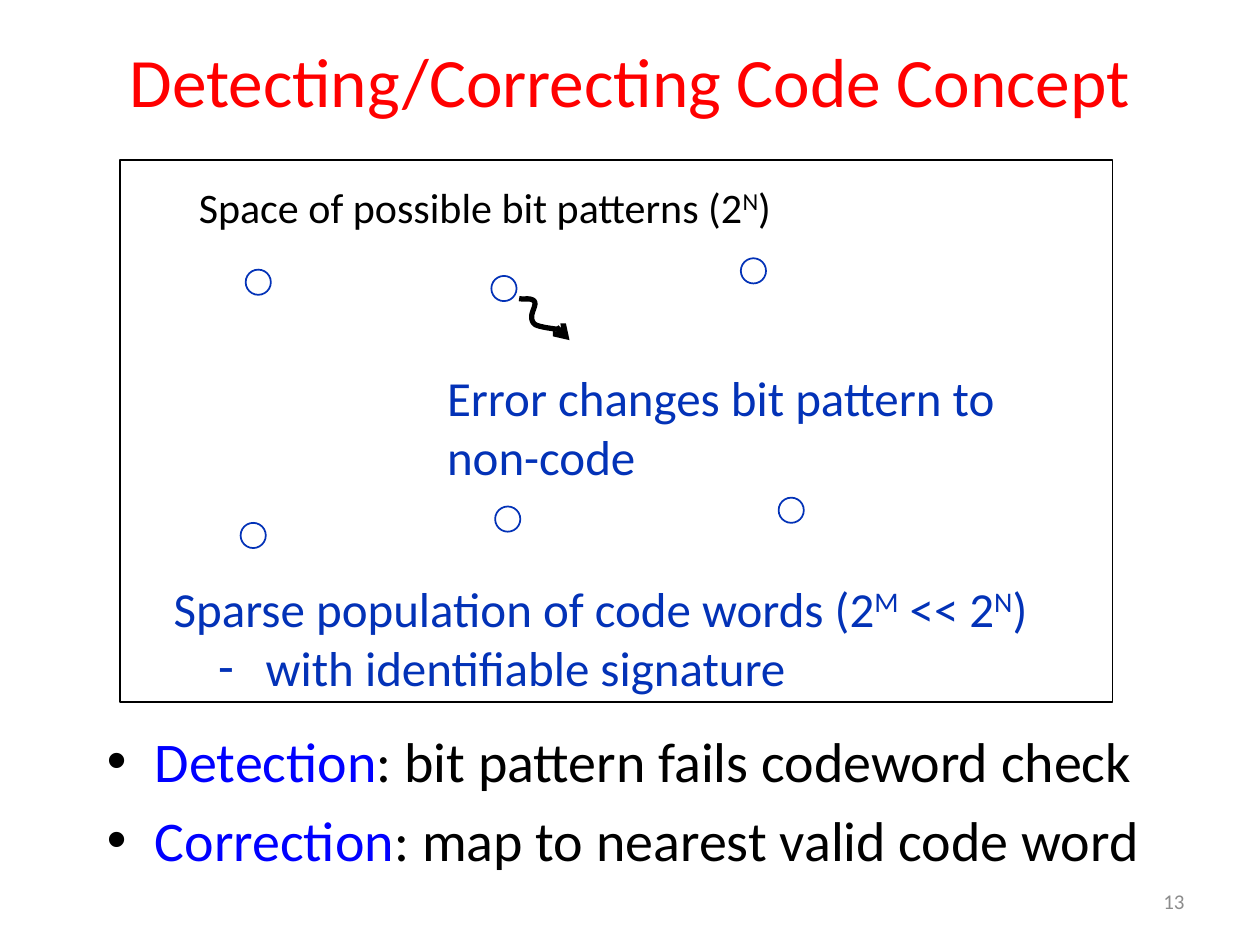
from dataclasses import dataclass

from lxml import etree
from pptx import Presentation
from pptx.dml.color import RGBColor
from pptx.enum.shapes import MSO_SHAPE
from pptx.enum.text import MSO_ANCHOR, PP_ALIGN
from pptx.oxml.ns import qn
from pptx.util import Inches, Pt

RECT, OVAL = MSO_SHAPE.RECTANGLE, MSO_SHAPE.OVAL
TOP, MIDDLE = MSO_ANCHOR.TOP, MSO_ANCHOR.MIDDLE
LEFT, CENTER, RIGHT = PP_ALIGN.LEFT, PP_ALIGN.CENTER, PP_ALIGN.RIGHT
COLS, ROWS = 100, 75
UNIT = Inches(0.1)


@dataclass(frozen=True)
class Theme:
    font: str = "Calibri"
    white: str = "FFFFFF"
    ink: str = "000000"
    title: str = "FF0000"
    term: str = "0000FF"
    code: str = "0332B7"
    muted: str = "8C8C8C"
    title_size: float = 39.6
    body_size: int = 32
    note_size: int = 28
    label_size: int = 24
    number_size: int = 12


T = Theme()


@dataclass(frozen=True)
class Box:
    """A rectangle in grid columns and rows."""
    x: float
    y: float
    w: float
    h: float

    def inner(self, x, y, w, h):
        return Box(self.x + x, self.y + y, w, h)

    def emu(self):
        return [round(v * UNIT) for v in (self.x, self.y, self.w, self.h)]


def rgb(value):
    return RGBColor.from_string(value)


def add_run(p, text, size, color, superscript=False):
    r = p.add_run()
    r.text = text
    r.font.name, r.font.size = T.font, Pt(size)
    r.font.color.rgb = rgb(color)
    if superscript:
        r.font._element.set("baseline", "30000")


def add_text(s, box, anchor=TOP):
    tf = s.shapes.add_textbox(*box.emu()).text_frame
    tf.word_wrap = True
    tf.vertical_anchor = anchor
    return tf


def set_bullet(p, char, margin, hang, color):
    pPr = p._p.get_or_add_pPr()
    pPr.set("marL", str(round(margin * UNIT)))
    pPr.set("indent", str(-round(hang * UNIT)))
    clr = etree.SubElement(pPr, qn("a:buClr"))
    etree.SubElement(clr, qn("a:srgbClr"), val=color)
    etree.SubElement(pPr, qn("a:buFont"), typeface="Arial")
    etree.SubElement(pPr, qn("a:buChar"), char=char)


def add_outline(s, kind, box, line):
    sp = s.shapes.add_shape(kind, *box.emu())
    sp.shadow.inherit = False
    sp.fill.solid()
    sp.fill.fore_color.rgb = rgb(T.white)
    sp.line.color.rgb = rgb(line)
    sp.line.width = Pt(1)


def add_title(s, box):
    title = s.shapes.title
    title.left, title.top, title.width, title.height = box.emu()
    tf = title.text_frame
    tf.vertical_anchor = MIDDLE
    p = tf.paragraphs[0]
    p.alignment = CENTER
    add_run(p, "Detecting/Correcting Code Concept", T.title_size, T.title)


def bezier(start, curves, steps=12):
    """Points along joined cubic curves."""
    points = [start]
    for a, b, end in curves:
        for i in range(1, steps + 1):
            t = i / steps
            u = 1 - t
            weights = (u ** 3, 3 * u * u * t, 3 * u * t * t, t ** 3)
            points.append(tuple(sum(w * q[k] for w, q in zip(weights, (start, a, b, end)))
                                for k in (0, 1)))
        start = end
    return points


def add_error_arrow(s, box):
    curves = [((0.4, 0.1), (0.9, -0.1), (1.2, 0.2)),
              ((1.4, 0.5), (1, 1), (1, 1.4)),
              ((1, 1.6), (1, 1.8), (1.2, 2)),
              ((1.4, 2.3), (3.6, 2.5), (3.7, 2.5)),
              ((4.1, 3), (4, 2.7), (4, 3.3))]
    points = [((box.x + x) * UNIT, (box.y + y) * UNIT)
              for x, y in bezier((0, 0), curves)]
    builder = s.shapes.build_freeform(*points[0])
    builder.add_line_segments(points[1:], close=False)
    sp = builder.convert_to_shape()
    sp.shadow.inherit = False
    sp.fill.background()
    sp.line.color.rgb = rgb(T.ink)
    sp.line.width = Pt(3)
    etree.SubElement(sp.line._get_or_add_ln(), qn("a:tailEnd"), type="arrow")


def add_code_space(s, box):
    add_outline(s, RECT, box, T.ink)

    p = add_text(s, box.inner(5.3, 1.2, 56, 5)).paragraphs[0]
    for text, raised in (("Space of possible bit patterns (2", False), ("N", True), (")", False)):
        add_run(p, text, T.label_size, T.ink, raised)

    for x, y in ((10, 8.7), (9.6, 28.8), (29.5, 9.2), (29.8, 27.5), (49.3, 7.8), (52.3, 26.8)):
        add_outline(s, OVAL, box.inner(x, y, 2, 2), T.code)

    tf = add_text(s, box.inner(3.3, 32.7, 71.1, 10.4))
    p = tf.paragraphs[0]
    for text, raised in (("Sparse population of code words (2", False), ("M", True),
                         (" << 2", False), ("N", True), (")", False)):
        add_run(p, text, T.note_size, T.code, raised)
    p = tf.add_paragraph()
    set_bullet(p, "-", 7.3, 3.8, T.code)
    add_run(p, "with identifiable signature", T.note_size, T.code)

    add_error_arrow(s, box.inner(31.7, 11, 4.1, 3.5))
    tf = add_text(s, box.inner(25, 16, 46, 10.4))
    add_run(tf.paragraphs[0], "Error changes bit pattern to", T.note_size, T.code)
    add_run(tf.add_paragraph(), "non-code", T.note_size, T.code)


def add_definitions(s, box):
    tf = add_text(s, box)
    items = (("Detection", ": bit pattern fails codeword check"),
             ("Correction", ": map to nearest valid code word"))
    for i, (term, meaning) in enumerate(items):
        p = tf.add_paragraph() if i else tf.paragraphs[0]
        p.space_before = Pt(0.2 * T.body_size)
        set_bullet(p, "•", 3.8, 3.8, T.ink)
        add_run(p, term, T.body_size, T.term)
        add_run(p, meaning, T.body_size, T.ink)


def add_slide_number(s, box):
    p = add_text(s, box, MIDDLE).paragraphs[0]
    p.alignment = RIGHT
    add_run(p, "13", T.number_size, T.muted)


def main():
    prs = Presentation()
    prs.slide_width, prs.slide_height = COLS * UNIT, ROWS * UNIT
    s = prs.slides.add_slide(prs.slide_layouts[5])
    add_title(s, Box(5, 0.1, 90, 12.5))
    add_code_space(s, Box(9.5, 12.7, 78.8, 43))
    add_definitions(s, Box(7.5, 57.2, 84.2, 9.7))
    add_slide_number(s, Box(71.7, 69.5, 23.3, 4))
    prs.save("out.pptx")


if __name__ == "__main__":
    main()
